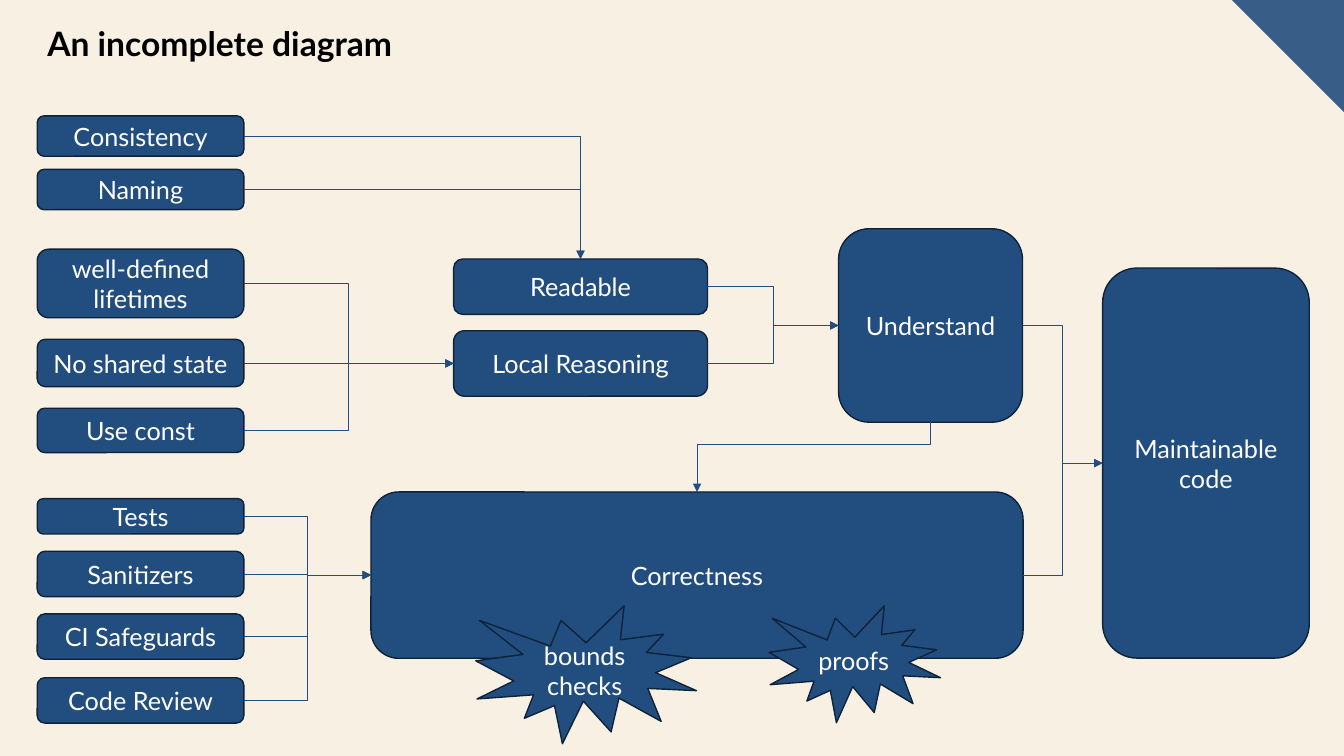
from lxml import etree
from pptx import Presentation
from pptx.dml.color import RGBColor
from pptx.enum import shapes as kinds, text as txt
from pptx.oxml.ns import qn
from pptx.util import Pt

COLORS = {"paper": "F8F0E3", "corner": "385E88", "box": "224E7F",
          "outline": "0F2238", "label": "FFFFFF", "title": "000000"}
FONT = "Lato"
RIGHT, LEFT, TOP, BOTTOM = 3, 1, 0, 2
ROUNDED = kinds.MSO_SHAPE.ROUNDED_RECTANGLE
BURST = kinds.MSO_SHAPE.EXPLOSION1


def color(name):
    return RGBColor.from_string(COLORS[name])


def style_text(frame, size, color_name, align, bold=False):
    for paragraph in frame.paragraphs:
        paragraph.alignment = align
        for run in paragraph.runs:
            run.font.name, run.font.size, run.font.bold = FONT, Pt(size), bold
            run.font.color.rgb = color(color_name)


def add_node(slide, label, x, y, w, h, preset=ROUNDED):
    node = slide.shapes.add_shape(preset, Pt(x), Pt(y), Pt(w), Pt(h))
    node.shadow.inherit = False
    node.fill.solid()
    node.fill.fore_color.rgb = color("box")
    node.line.color.rgb = color("outline")
    node.line.width = Pt(1)
    frame = node.text_frame
    frame.text = label
    frame.word_wrap = True
    frame.vertical_anchor = txt.MSO_ANCHOR.MIDDLE
    style_text(frame, 18, "label", txt.PP_ALIGN.CENTER)
    return node


def add_arrow(slide, source, target, start=RIGHT, end=LEFT):
    """Join two nodes with an elbow arrow; sideways into a top makes one bend."""
    arrow = slide.shapes.add_connector(kinds.MSO_CONNECTOR.ELBOW, 0, 0, 0, 0)
    arrow.begin_connect(source, start)
    arrow.end_connect(target, end)
    arrow.line.color.rgb = color("box")
    arrow.line.width = Pt(0.5)
    properties = arrow._element.spPr
    etree.SubElement(properties.find(qn("a:ln")), qn("a:tailEnd"), type="triangle")
    etree.SubElement(properties, qn("a:effectLst"))
    if start == RIGHT and end == TOP:
        properties.find(qn("a:prstGeom")).set("prst", "bentConnector2")
    return arrow


def add_drop_arrow(slide, source, target, bend):
    """Elbow arrow from a bottom to a top on the left, bending at a share of the drop."""
    arrow = add_arrow(slide, source, target, BOTTOM, TOP)
    span, drop = arrow.width, arrow.height
    center_x, center_y = arrow.left + span // 2, arrow.top + drop // 2
    arrow.left, arrow.top = center_x - drop // 2, center_y - span // 2
    arrow.width, arrow.height = drop, span
    properties = arrow._element.spPr
    frame = properties.find(qn("a:xfrm"))
    frame.attrib.pop("flipH", None)
    frame.set("rot", str(90 * 60000))
    geometry = properties.find(qn("a:prstGeom"))
    adjustments = geometry.find(qn("a:avLst"))
    if adjustments is None:
        adjustments = etree.SubElement(geometry, qn("a:avLst"))
    etree.SubElement(adjustments, qn("a:gd"), name="adj1",
                     fmla=f"val {round(bend * 100000)}")


def add_corner(slide, x, y, side):
    outline = slide.shapes.build_freeform(Pt(x), Pt(y))
    outline.add_line_segments([(Pt(x + side), Pt(y)), (Pt(x + side), Pt(y + side))])
    corner = outline.convert_to_shape()
    corner.shadow.inherit = False
    corner.fill.solid()
    corner.fill.fore_color.rgb = color("corner")
    corner.line.fill.background()


def add_title(slide, x, y, w, h):
    title = slide.shapes.title
    title.left, title.top, title.width, title.height = Pt(x), Pt(y), Pt(w), Pt(h)
    frame = title.text_frame
    frame.text = "An incomplete diagram"
    frame.word_wrap = False
    frame.auto_size = txt.MSO_AUTO_SIZE.NONE
    frame.vertical_anchor = txt.MSO_ANCHOR.TOP
    style_text(frame, 24, "title", txt.PP_ALIGN.LEFT, bold=True)


def add_practices(slide, x, y, w):
    """Left column; returns the nodes grouped by the quality they serve."""
    groups = {
        "Readable": [("Consistency", 0, 28.8), ("Naming", 38.2, 28.8)],
        "Local Reasoning": [("well-defined lifetimes", 95.2, 49),
                            ("No shared state", 159.6, 33.8),
                            ("Use const", 208.8, 31.7)],
        "Correctness": [("Tests", 273.4, 25.2), ("Sanitizers", 311, 32.4),
                        ("CI Safeguards", 355.7, 32.4), ("Code Review", 401.3, 32.4)],
    }
    return {quality: [add_node(slide, label, x, y + offset, w, h)
                      for label, offset, h in rows]
            for quality, rows in groups.items()}


def add_qualities(slide, x, y):
    """Middle area: the qualities and the bursts on Correctness."""
    layout = [("Readable", 59, 21.6, 181.4, 39.6),
              ("Local Reasoning", 59, 72.8, 181.4, 46.8),
              ("Understand", 334, 0, 131.4, 138.2),
              ("Correctness", 0, 188, 465.8, 118.8)]
    nodes = {label: add_node(slide, label, x + dx, y + dy, w, h)
             for label, dx, dy, w, h in layout}
    for label, dx, w, h in [("bounds checks", 74.8, 157.7, 98.6),
                            ("proofs", 284.4, 122.4, 83.5)]:
        add_node(slide, label, x + dx, y + 269.3, w, h, BURST)
    return nodes


def add_arrows(slide, practices, qualities, goal):
    for quality, nodes in practices.items():
        side = TOP if quality == "Readable" else LEFT
        for node in nodes:
            add_arrow(slide, node, qualities[quality], end=side)
    understand, correctness = qualities["Understand"], qualities["Correctness"]
    for quality in ("Readable", "Local Reasoning"):
        add_arrow(slide, qualities[quality], understand)
    for node in (understand, correctness):
        add_arrow(slide, node, goal)
    add_drop_arrow(slide, understand, correctness, bend=0.315)


def main():
    deck = Presentation()
    deck.slide_width, deck.slide_height = Pt(960), Pt(540)
    slide = deck.slides.add_slide(deck.slide_layouts[5])
    slide.background.fill.solid()
    slide.background.fill.fore_color.rgb = color("paper")
    add_corner(slide, 880, 0, 80)
    add_title(slide, 26.6, 13, 290, 36)
    practices = add_practices(slide, 26.6, 82.8, 147.6)
    qualities = add_qualities(slide, 265, 163.4)
    goal = add_node(slide, "Maintainable\ncode", 787.6, 191.5, 147.6, 278.6)
    add_arrows(slide, practices, qualities, goal)
    deck.save("out.pptx")


if __name__ == "__main__":
    main()
